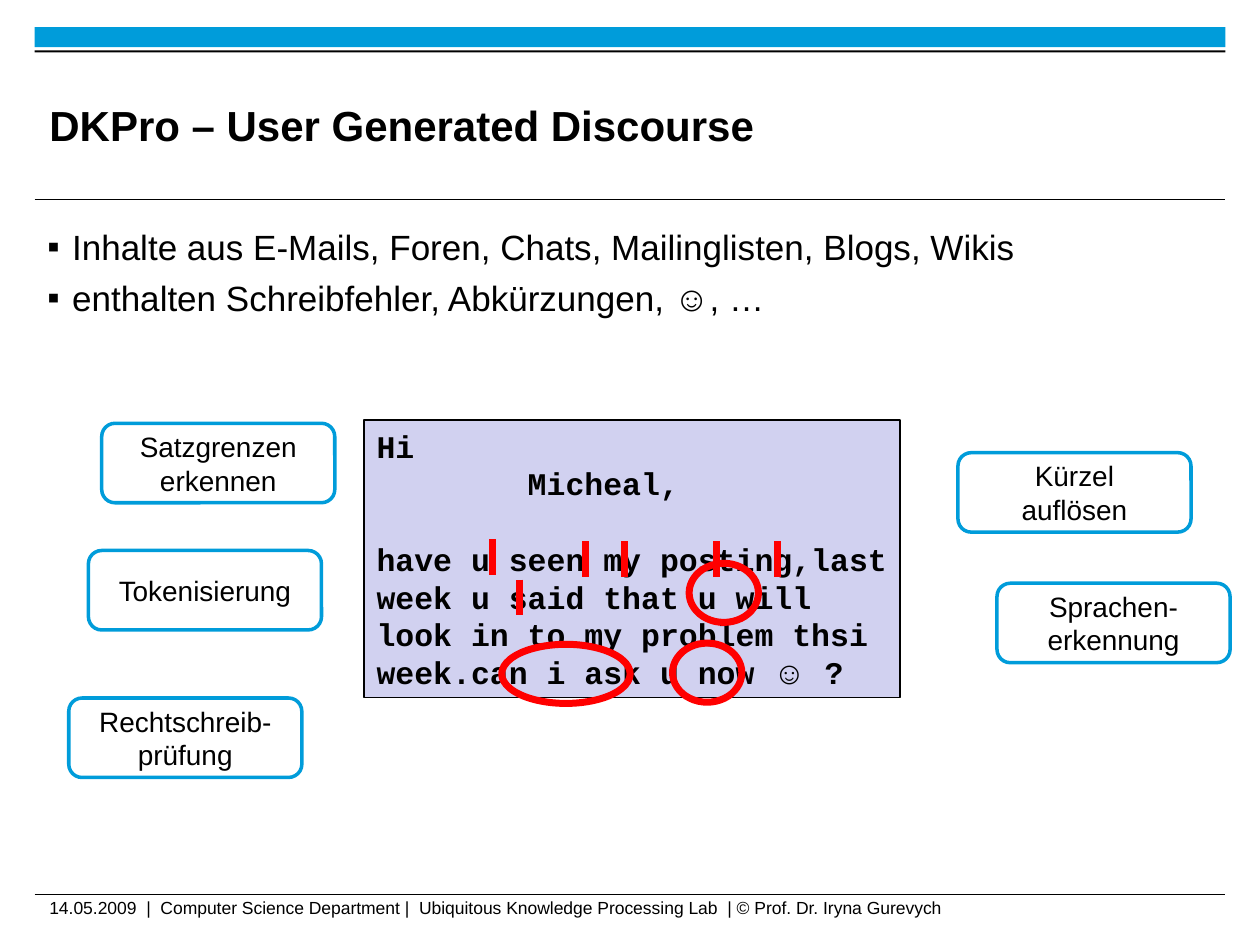
"""Build the slide on user generated discourse in DKPro."""
from dataclasses import dataclass

from lxml import etree
from pptx import Presentation
from pptx.dml.color import RGBColor
from pptx.enum.shapes import MSO_CONNECTOR, MSO_SHAPE
from pptx.enum.text import MSO_ANCHOR, MSO_AUTO_SIZE, PP_ALIGN
from pptx.oxml.ns import qn
from pptx.util import Pt

RECTANGLE = MSO_SHAPE.RECTANGLE
ROUNDED = MSO_SHAPE.ROUNDED_RECTANGLE
OVAL = MSO_SHAPE.OVAL
STRAIGHT = MSO_CONNECTOR.STRAIGHT
TOP, MIDDLE = MSO_ANCHOR.TOP, MSO_ANCHOR.MIDDLE
LEFT, CENTER = PP_ALIGN.LEFT, PP_ALIGN.CENTER
NO_AUTOFIT = MSO_AUTO_SIZE.NONE

COLORS = {"text": "000000", "accent": "009CDA", "mark": "FF0000",
          "message": "D1D1F0", "paper": "FFFFFF"}
LINE_SPACING = 1.0
MONO_ADVANCE = 10.8
MONO_LINE = 21.5
RULE_LEFT, RULE_WIDTH = 19.8, 680.4
TASK_WIDTH, TASK_HEIGHT = 133.2, 45.4
CIRCLE_HEIGHT = 33.8
TICK_HEIGHT = 20.5


@dataclass
class Area:
    left: float
    top: float
    width: float
    height: float

    def lengths(self) -> list:
        return [Pt(value) for value in (self.left, self.top, self.width, self.height)]


@dataclass
class Task:
    text: str
    left: float
    top: float


@dataclass
class Tick:
    left: float
    top: float


TASKS = [
    Task("Kürzel\nauflösen", 547.4, 258.7),
    Task("Rechtschreib-\nprüfung", 39.3, 398.9),
    Task("Sprachen-\nerkennung", 569.7, 333.3),
    Task("Satzgrenzen erkennen", 58.1, 241.9),
    Task("Tokenisierung", 50.5, 314.6),
]
CIRCLES = [
    Area(393.8, 321.9, 39.6, CIRCLE_HEIGHT),
    Area(384.3, 367.5, 39.6, CIRCLE_HEIGHT),
    Area(286.7, 368.2, 73.4, CIRCLE_HEIGHT),
]
TICKS = [Tick(281.2, 308.2), Tick(296.6, 331.2)] + [
    Tick(left, 309.4) for left in (334.4, 357.1, 409.3, 444.2)]
BULLETS = ["Inhalte aus E-Mails, Foren, Chats, Mailinglisten, Blogs, Wikis",
           "enthalten Schreibfehler, Abkürzungen, ☺, …"]


def color(name: str) -> RGBColor:
    return RGBColor.from_string(COLORS[name])


def apply(target, values: dict) -> None:
    for name, value in values.items():
        setattr(target, name, value)


def place(shape, area: Area) -> None:
    apply(shape, dict(zip(("left", "top", "width", "height"), area.lengths())))


def format_frame(frame, anchor, insets: tuple) -> None:
    left, top, right, bottom = map(Pt, insets)
    apply(frame, {"word_wrap": True, "auto_size": NO_AUTOFIT,
                  "vertical_anchor": anchor, "margin_left": left,
                  "margin_top": top, "margin_right": right, "margin_bottom": bottom})


def format_paragraphs(frame, size: float, bold: bool = False,
                      font: str = "Arial", align=LEFT) -> None:
    for para in frame.paragraphs:
        apply(para, {"alignment": align, "line_spacing": LINE_SPACING,
                     "space_before": Pt(0), "space_after": Pt(0)})
        apply(para.font, {"size": Pt(size), "bold": bold, "name": font})
        para.font.color.rgb = color("text")


def add_box(page, kind, area: Area, fill: str = "", line: str = "", weight: float = 0):
    box = page.shapes.add_shape(kind, *area.lengths())
    box.shadow.inherit = False
    if fill:
        box.fill.solid()
        box.fill.fore_color.rgb = color(fill)
    else:
        box.fill.background()
    if line:
        box.line.color.rgb = color(line)
        box.line.width = Pt(weight)
    else:
        box.line.fill.background()
    return box


def add_line(page, start: tuple, end: tuple, line: str, weight: float) -> None:
    rule = page.shapes.add_connector(STRAIGHT, *map(Pt, start + end))
    rule.line.color.rgb = color(line)
    rule.line.width = Pt(weight)
    etree.SubElement(rule._element.spPr, qn("a:effectLst"))


def add_frame_rules(page) -> None:
    add_box(page, RECTANGLE, Area(RULE_LEFT, 15.5, RULE_WIDTH, 11.5), "accent")
    for top in (114.2, 511):
        add_line(page, (RULE_LEFT, top), (RULE_LEFT + RULE_WIDTH, top), "text", 0.6)
    add_box(page, RECTANGLE, Area(RULE_LEFT, 28.8, RULE_WIDTH, 1.2), "text")


def fill_title(page) -> None:
    title = page.shapes.title
    place(title, Area(28.2, 38.2, 541.4, 66.2))
    title.text_frame.text = "DKPro – User Generated Discourse"
    format_frame(title.text_frame, MIDDLE, (0, 0, 0, 0))
    format_paragraphs(title.text_frame, 24, bold=True)


def fill_body(page) -> None:
    body = page.placeholders[1]
    place(body, Area(RULE_LEFT, 125.3, RULE_WIDTH, 377.3))
    frame = body.text_frame
    frame.text = "\n".join(BULLETS)
    format_frame(frame, TOP, (7.2, 3.6, 7.2, 3.6))
    for para in frame.paragraphs:
        properties = para._p.get_or_add_pPr()
        properties.set("marL", str(Pt(14.2)))
        properties.set("indent", str(Pt(-14.2)))
        etree.SubElement(properties, qn("a:buChar")).set("char", "▪")
    format_paragraphs(frame, 20)
    for para in frame.paragraphs[1:]:
        para.space_before = Pt(5)


def add_footer(page) -> None:
    footer = page.shapes.add_textbox(*Area(28.2, 512.6, 626.4, 18).lengths())
    footer.text_frame.text = (
        "14.05.2009  |  Computer Science Department |  "
        "Ubiquitous Knowledge Processing Lab  | © Prof. Dr. Iryna Gurevych")
    format_frame(footer.text_frame, TOP, (0, 0, 0, 0))
    format_paragraphs(footer.text_frame, 10)


def add_message(page) -> None:
    box = add_box(page, RECTANGLE, Area(208.1, 240.2, 306.2, 158.4), "message", "text", 1)
    frame = box.text_frame
    frame.text = ("Hi\nMicheal,\nhave u seen my posting,last week u said that u will "
                  "look in to my problem thsi week.can i ask u now ")
    format_frame(frame, TOP, (7.2, 3.6, 3.6, 3.6))
    format_paragraphs(frame, 18, bold=True, font="Courier New")
    greeting, request = frame.paragraphs[1:]
    greeting._p.get_or_add_pPr().set("marL", str(Pt(8 * MONO_ADVANCE)))
    request.space_before = Pt(MONO_LINE)
    smiley = request.add_run()
    smiley.text = "☺"
    smiley.font.name = "Arial"
    request.add_run().text = " ?"


def add_task(page, task: Task) -> None:
    area = Area(task.left, task.top, TASK_WIDTH, TASK_HEIGHT)
    box = add_box(page, ROUNDED, area, "paper", "accent", 2)
    box.text_frame.text = task.text
    format_frame(box.text_frame, MIDDLE, (7.2, 3.6, 7.2, 3.6))
    format_paragraphs(box.text_frame, 16, align=CENTER)


def main() -> None:
    deck = Presentation()
    apply(deck, {"slide_width": Pt(720), "slide_height": Pt(540)})
    page = deck.slides.add_slide(deck.slide_layouts[1])
    add_frame_rules(page)
    fill_title(page)
    fill_body(page)
    add_footer(page)
    add_message(page)
    for task in TASKS:
        add_task(page, task)
    for circle in CIRCLES:
        add_box(page, OVAL, circle, line="mark", weight=4)
    for tick in TICKS:
        add_line(page, (tick.left, tick.top), (tick.left, tick.top + TICK_HEIGHT), "mark", 4)
    deck.save("out.pptx")


if __name__ == "__main__":
    main()
